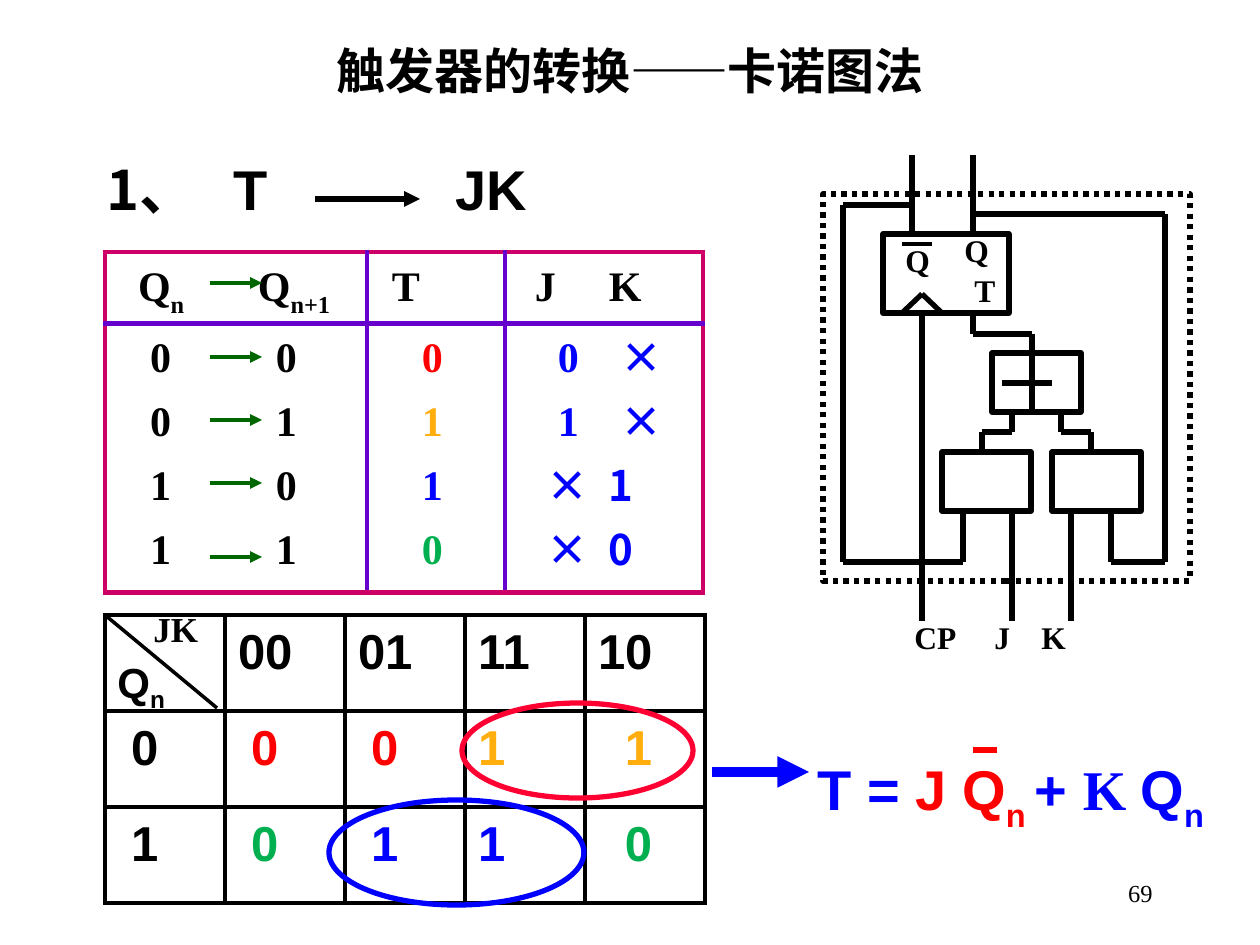
from itertools import pairwise

from lxml import etree
from pptx import Presentation
from pptx.dml.color import RGBColor
from pptx.enum.dml import MSO_LINE
from pptx.enum.shapes import MSO_CONNECTOR, MSO_SHAPE
from pptx.enum.text import MSO_ANCHOR, PP_ALIGN
from pptx.oxml.ns import qn
from pptx.util import Emu, Pt

LINE = MSO_CONNECTOR.STRAIGHT
RECT, OVAL = MSO_SHAPE.RECTANGLE, MSO_SHAPE.OVAL
DOT = MSO_LINE.ROUND_DOT
TOP, MID = MSO_ANCHOR.TOP, MSO_ANCHOR.MIDDLE
LEFT, MIDDLE, RIGHT = PP_ALIGN.LEFT, PP_ALIGN.CENTER, PP_ALIGN.RIGHT
SANS, SERIF, CJK = "Arial", "Times New Roman", "Noto Sans CJK SC"
BLACK, WHITE, RED, BLUE = "000000", "FFFFFF", "FF0000", "0000FF"
GOLD, GREEN, PINK, VIOLET = "FFAE0D", "00B050", "CC0066", "6600CC"


def px(n):
    """Turn pixels into EMU."""
    return Emu(round(n * 914400 / 126))


def rgb(code):
    """Turn a hex string into a colour."""
    return RGBColor.from_string(code)


def write(par, runs, size, font=SANS, color=BLACK, bold=True, align=LEFT, tabs=()):
    """Fill a paragraph with runs of (text, format changes)."""
    par.alignment = align
    if tabs:
        stops = etree.SubElement(par._p.get_or_add_pPr(), qn("a:tabLst"))
        for stop in tabs:
            etree.SubElement(stops, qn("a:tab"), pos=str(px(stop)), algn="l")
    for text, diff in runs:
        look = {"name": font, "size": Pt(size), "bold": bold}
        look.update({k: v for k, v in diff.items() if k in look})
        run = par.add_run()
        run.text = text
        for key, val in look.items():
            setattr(run.font, key, val)
        run.font.color.rgb = rgb(diff.get("color", color))
        props = run._r.get_or_add_rPr()
        etree.SubElement(props, qn("a:ea"), typeface=CJK)
        if "base" in diff:
            props.set("baseline", str(diff["base"] * 1000))


def label(slide, x, y, w, h, runs, size, anchor=TOP, **look):
    """Add a text box."""
    box = slide.shapes.add_textbox(px(x), px(y), px(w), px(h))
    frame = box.text_frame
    frame.word_wrap, frame.vertical_anchor = True, anchor
    write(frame.paragraphs[0], runs, size, **look)


def line(slide, a, b, color=BLACK, width=3, arrow=False):
    """Add a straight line from a to b."""
    link = slide.shapes.add_connector(LINE, *map(px, (*a, *b)))
    link.line.color.rgb = rgb(color)
    link.line.width = Pt(width)
    if arrow:
        etree.SubElement(link.line._get_or_add_ln(), qn("a:tailEnd"), type="triangle")
    etree.SubElement(link._element.spPr, qn("a:effectLst"))


def outline(slide, kind, x, y, w, h, color=BLACK, dash=None):
    """Add an unfilled shape."""
    shape = slide.shapes.add_shape(kind, px(x), px(y), px(w), px(h))
    shape.shadow.inherit = False
    shape.fill.background()
    shape.line.color.rgb = rgb(color)
    shape.line.width = Pt(3)
    if dash:
        shape.line.dash_style = dash


def edge(cell, sides):
    """Set left, right, top and bottom borders from (colour, width) or None."""
    props = cell._tc.get_or_add_tcPr()
    for i, (side, pen) in enumerate(zip("LRTB", sides)):
        ln = etree.Element(qn(f"a:ln{side}"), w=str(Pt(pen[1]) if pen else 0))
        fill = etree.SubElement(ln, qn("a:solidFill" if pen else "a:noFill"))
        if pen:
            etree.SubElement(fill, qn("a:srgbClr"), val=pen[0])
        props.insert(i, ln)


def grid(slide, x, y, cols, rows):
    """Add a plain table with the given column widths and row heights."""
    size = map(px, (x, y, sum(cols), sum(rows)))
    table = slide.shapes.add_table(len(rows), len(cols), *size).table
    table.first_row = table.horz_banding = False
    for col, w in zip(table.columns, cols):
        col.width = px(w)
    for row, h in zip(table.rows, rows):
        row.height = px(h)
    return table


def fill(cell, runs, size, left, top, sides, back=None, **look):
    """Set the text, margins, fill and borders of a cell."""
    gaps = {"margin_left": left, "margin_top": top, "margin_right": 0, "margin_bottom": 0}
    for key, val in gaps.items():
        setattr(cell, key, px(val))
    if back:
        cell.fill.solid()
        cell.fill.fore_color.rgb = rgb(back)
    else:
        cell.fill.background()
    edge(cell, sides)
    write(cell.text_frame.paragraphs[0], runs, size, **look)


def truth(slide, x, y):
    """Draw the state table with its arrows."""
    sub = {"base": -30}
    head = [[("Q", {}), ("n", sub)], [("Q", {}), ("n+1", sub)]]
    head += [[(name, {})] for name in "TJK"]
    body = [("000", "0×", RED), ("011", "1×", GOLD), ("101", "×1", BLUE), ("110", "×0", GREEN)]
    table = grid(slide, x, y, (128, 134, 138, 95, 103), (63, 64, 64, 64, 77))
    frame, rule = (PINK, 3), (VIOLET, 3)
    for r in range(5):
        low = r > 2
        lefts = (45, 43, 55, 42, 9) if low else (45, 43, 55, 53, 21)
        for c in range(5):
            sides = (frame if c == 0 else rule if c in (2, 3) else None,
                     frame if c == 4 else rule if c in (1, 2) else None,
                     rule if r == 1 else None if r else frame,
                     rule if r == 0 else frame if r == 4 else None)
            if r == 0:
                fill(table.cell(r, c), head[c], 24, (33, 25, 25, 30, 9)[c], 12,
                     sides, WHITE, font=SERIF)
                continue
            state, inputs, tint = body[r - 1]
            wide = c > (2 if low else 3)
            fill(table.cell(r, c), [((state + inputs)[c], {})], 24, lefts[c],
                 1 if wide else 12, sides, WHITE, font=CJK if wide else SERIF,
                 color=(BLACK, BLACK, tint, BLUE, BLUE)[c])
    for dy in (31, 105, 168, 231, 305):
        line(slide, (x + 105, y + dy), (x + 157, y + dy), "006600", 2.25, True)


def kmap(slide, x, y):
    """Draw the Karnaugh map with its two loops."""
    rows = [("", "00", "01", "11", "10"), "00011", "10110"]
    tints = [[BLACK] * 5, [BLACK, RED, RED, GOLD, GOLD], [BLACK, GREEN, BLUE, BLUE, GREEN]]
    table = grid(slide, x, y, [120] * 5, [96] * 3)
    for r, row in enumerate(rows):
        for c, text in enumerate(row):
            left = (26, 26, 26, 13, 40)[c] if r else 13
            fill(table.cell(r, c), [(text, {})] if text else [], 28, left, 10,
                 [(BLACK, 2)] * 4, color=tints[r][c])
    line(slide, (x, y), (x + 112, y + 93), width=2)
    label(slide, x + 36, y - 14, 97, 79, [("JK", {})], 20, font=SERIF)
    label(slide, x, y + 35, 126, 79, [("Q", {}), ("n", {"base": -25})], 24)
    outline(slide, OVAL, x + 224, y + 185, 255, 105, BLUE)
    outline(slide, OVAL, x + 357, y + 88, 231, 95, "FF0033")


def result(slide, x, y):
    """Write the equation read from the map."""
    line(slide, (x - 93, y + 29), (x + 4, y + 29), BLUE, 6, True)
    sub, red = {"base": -30}, {"color": RED}
    runs = [("T = ", {}), ("J Q", red), ("n ", red | sub), ("+ ", {}),
            ("K ", {"name": SERIF}), ("Q", {}), ("n", sub)]
    label(slide, x, y + 5, 455, 81, runs, 32, color=BLUE)
    line(slide, (x + 168, y + 7), (x + 192, y + 7), RED)


def circuit(slide, x, y):
    """Draw the JK circuit around a T flip-flop."""
    for dx, dy, w, h in ((60, 40, 126, 79), (169, 159, 89, 59),
                         (119, 258, 89, 59), (229, 258, 89, 59)):
        outline(slide, RECT, x + dx, y + dy, w, h)
    wires = [
        [(79, 119), (99, 100), (119, 119)], [(99, 119), (99, 427)],
        [(179, 189), (229, 189)], [(209, 159), (209, 218)],
        [(189, 218), (189, 238), (159, 238), (159, 258)],
        [(238, 218), (238, 238), (268, 238), (268, 258)],
        [(150, 119), (150, 140), (209, 140), (209, 159)],
        [(189, 317), (189, 427)], [(248, 317), (248, 427)],
        [(89, 40), (89, -39)], [(150, 40), (150, -39)],
        [(140, 317), (140, 368), (20, 368), (20, 11), (89, 11)],
        [(150, 20), (342, 20), (342, 368), (288, 368), (288, 317)],
    ]
    for wire in wires:
        for (ax, ay), (bx, by) in pairwise(wire):
            line(slide, (x + ax, y + ay), (x + bx, y + by))
    line(slide, (x + 79, y + 50), (x + 109, y + 50), width=2.25)
    for text, dx, dy in (("T", 139, 71), ("Q", 129, 31), ("Q", 70, 41)):
        label(slide, x + dx, y + dy, 50, 50, [(text, {})], 18, font=SERIF)
    label(slide, x + 79, y + 418, 179, 50, [("CP\tJ\tK", {})], 18, font=SERIF, tabs=(80, 127))
    outline(slide, RECT, x, y, 367, 387, dash=DOT)


def header(slide):
    """Set the title, the heading and the page number."""
    title = slide.shapes.title
    box = {"left": 0, "top": 34, "width": 1260, "height": 72}
    for key, val in box.items():
        setattr(title, key, px(val))
    title.text_frame.vertical_anchor = MID
    write(title.text_frame.paragraphs[0], [("触发器的转换——卡诺图法", {})], 28, align=MIDDLE)
    runs = [("1、", {"name": CJK}), ("\tT\tJK", {})]
    label(slide, 94, 148, 451, 93, runs, 32, tabs=(127, 349))
    line(slide, (315, 199), (420, 199), arrow=True)
    label(slide, 903, 861, 262, 63, [("69", {})], 14, MID, font=SERIF, bold=False, align=RIGHT)


def main():
    """Build the slide and save it."""
    prs = Presentation()
    prs.slide_width, prs.slide_height = px(1260), px(945)
    slide = prs.slides.add_slide(prs.slide_layouts[5])
    header(slide)
    truth(slide, 105, 252)
    kmap(slide, 105, 615)
    result(slide, 805, 743)
    circuit(slide, 823, 194)
    prs.save("out.pptx")


if __name__ == "__main__":
    main()
